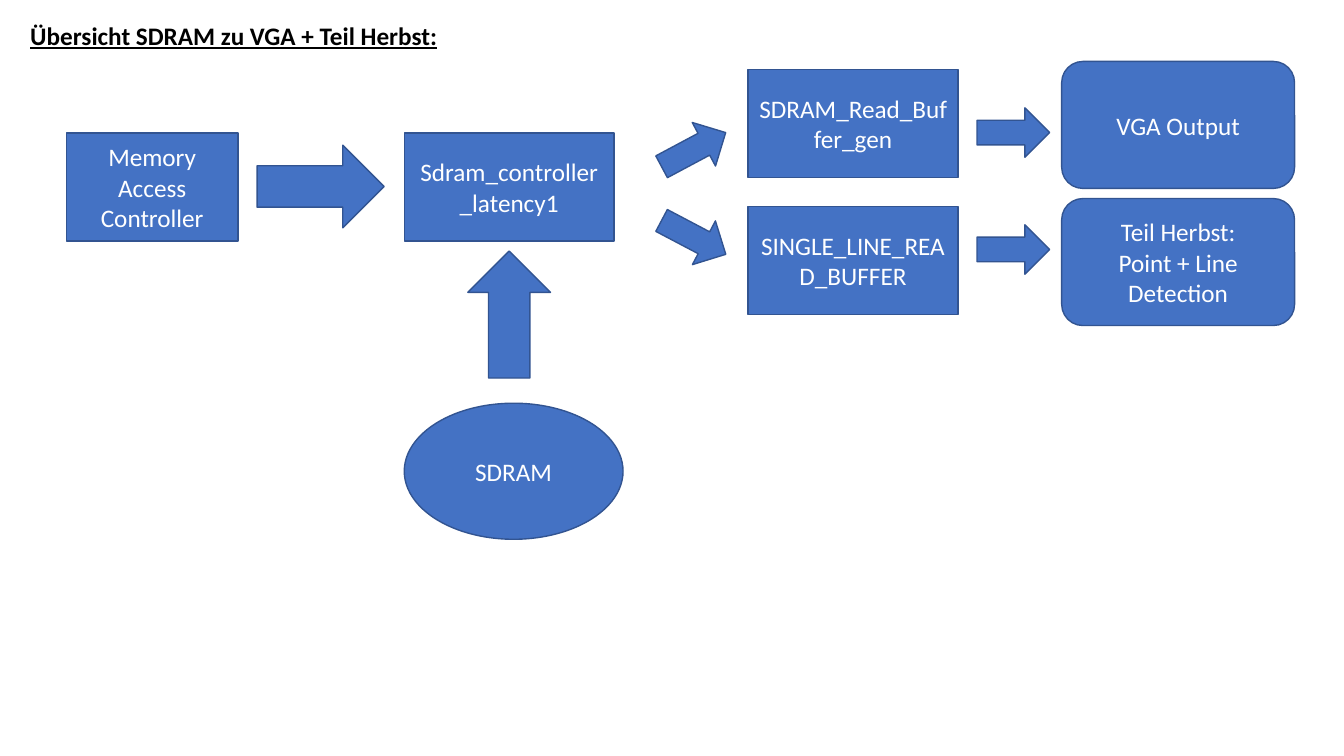
from dataclasses import dataclass

from pptx import Presentation
from pptx.dml.color import RGBColor
from pptx.enum.shapes import MSO_SHAPE as Shape
from pptx.enum.text import MSO_ANCHOR as Anchor, MSO_AUTO_SIZE as AutoSize, PP_ALIGN as Align
from pptx.util import Inches, Pt


@dataclass(frozen=True)
class Theme:
    fill: RGBColor = RGBColor(0x44, 0x72, 0xC4)
    outline: RGBColor = RGBColor(0x32, 0x54, 0x91)
    light: RGBColor = RGBColor(0xFF, 0xFF, 0xFF)
    dark: RGBColor = RGBColor(0, 0, 0)
    font: str = "Calibri"
    size: int = 18
    line_width: int = 1


THEME = Theme()
BLOCK_SIZE = (2.08, 1.07)
LARGE_ARROW = (1.26, 0.82)
SMALL_ARROW = (0.72, 0.49)
TARGET_SIZE = (2.31, 1.26)


def add_span(para, text, color):
    span = para.add_run()
    span.text = text
    span.font.name = THEME.font
    span.font.size = Pt(THEME.size)
    span.font.color.rgb = color
    return span


def add_block(page, kind, left, top, size, lines=()):
    block = page.shapes.add_shape(kind, *map(Inches, (left, top, *size)))
    block.shadow.inherit = False
    block.fill.solid()
    block.fill.fore_color.rgb = THEME.fill
    block.line.color.rgb = THEME.outline
    block.line.width = Pt(THEME.line_width)
    frame = block.text_frame
    frame.word_wrap = True
    frame.vertical_anchor = Anchor.MIDDLE
    for index, text in enumerate(lines):
        para = frame.add_paragraph() if index else frame.paragraphs[0]
        para.alignment = Align.CENTER
        add_span(para, text, THEME.light)
    return block


def add_arrow(page, left, top, size, rotation=0):
    arrow = add_block(page, Shape.RIGHT_ARROW, left, top, size)
    arrow.rotation = rotation


def add_heading(page, left, top, width, height):
    title = page.shapes.title
    title.left, title.top, title.width, title.height = map(Inches, (left, top, width, height))
    frame = title.text_frame
    frame.word_wrap = False
    frame.auto_size = AutoSize.SHAPE_TO_FIT_TEXT
    frame.vertical_anchor = Anchor.TOP
    para = frame.paragraphs[0]
    para.alignment = Align.LEFT
    span = add_span(para, "Übersicht SDRAM zu VGA + Teil Herbst:", THEME.dark)
    span.font.bold = True
    span.font.underline = True


def add_access(page, left, top):
    """Memory access block and its arrow to the controller."""
    add_block(page, Shape.RECTANGLE, left, top, (1.7, 1.07), ["Memory Access Controller"])
    add_arrow(page, left + 1.89, top + 0.12, LARGE_ARROW)


def add_controller(page, left, top):
    """Controller above the memory that feeds it."""
    add_block(page, Shape.RECTANGLE, left, top, BLOCK_SIZE, ["Sdram_controller_latency1"])
    add_arrow(page, left + 0.41, top + 1.39, LARGE_ARROW, 270)
    add_block(page, Shape.OVAL, left, top + 2.68, (2.17, 1.35), ["SDRAM"])


def add_branch(page, left, top, buffer, target, fan_drop, rotation, feed_drop):
    """Slanted arrow, buffer, straight arrow and target, from left to right."""
    add_arrow(page, left, top + fan_drop, SMALL_ARROW, rotation)
    add_block(page, Shape.RECTANGLE, left + 0.9, top + 0.08, BLOCK_SIZE, [buffer])
    add_arrow(page, left + 3.17, top + feed_drop, SMALL_ARROW)
    add_block(page, Shape.ROUNDED_RECTANGLE, left + 4.01, top, TARGET_SIZE, target)


deck = Presentation()
deck.slide_width, deck.slide_height = Inches(13.33), Inches(7.5)
page = deck.slides.add_slide(deck.slide_layouts[5])

# Heading
add_heading(page, 0.2, 0.15, 4.28, 0.4)

# Inputs and controller
add_access(page, 0.66, 1.32)
add_controller(page, 4.01, 1.32)

# Output branches
add_branch(page, 6.52, 0.61, "SDRAM_Read_Buffer_gen", ["VGA Output"],
           fan_drop=0.63, rotation=331.9, feed_drop=0.46)
add_branch(page, 6.52, 1.97, "SINGLE_LINE_READ_BUFFER",
           ["Teil Herbst:", "Point + Line Detection"],
           fan_drop=0.14, rotation=27.8, feed_drop=0.26)

deck.save("out.pptx")
